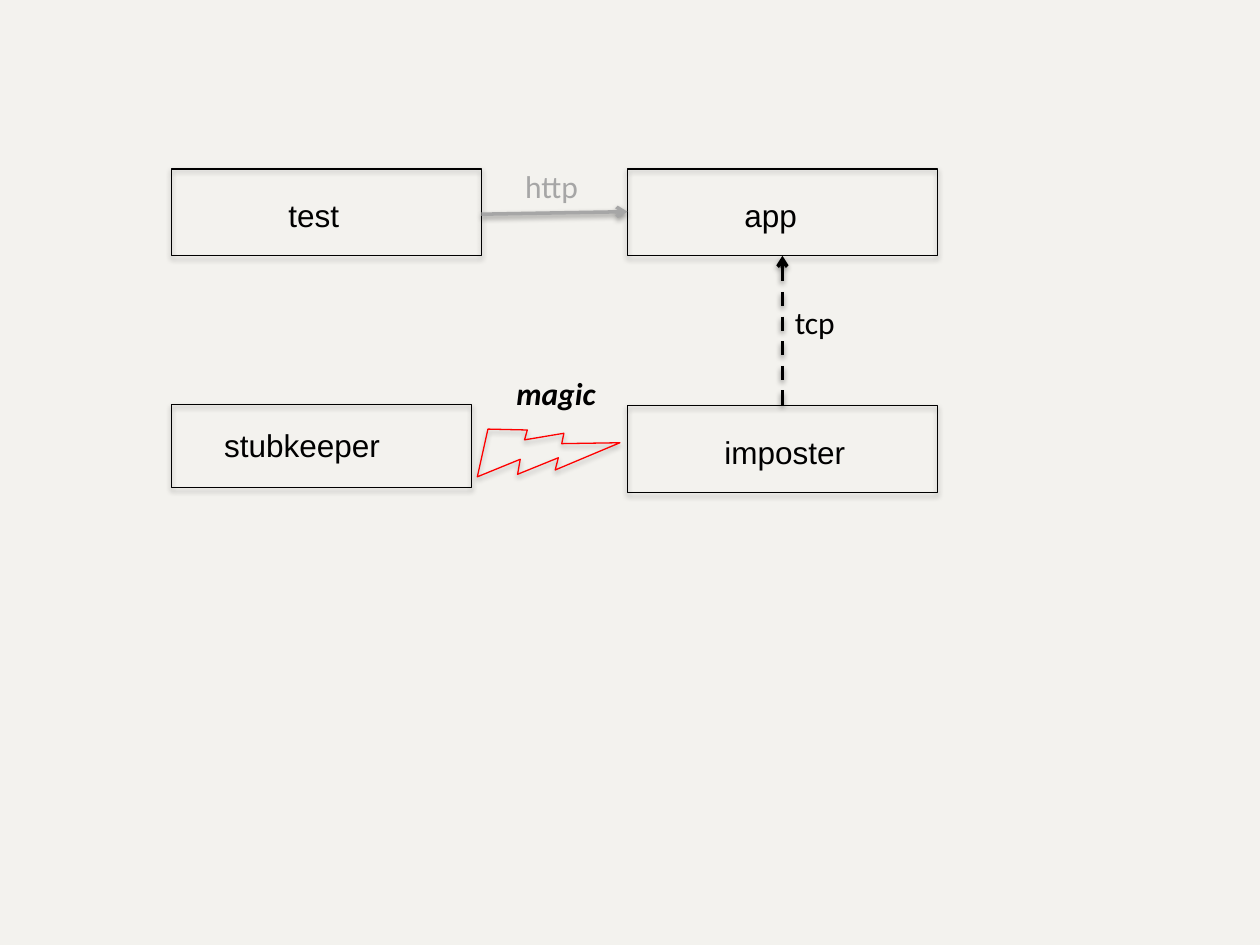
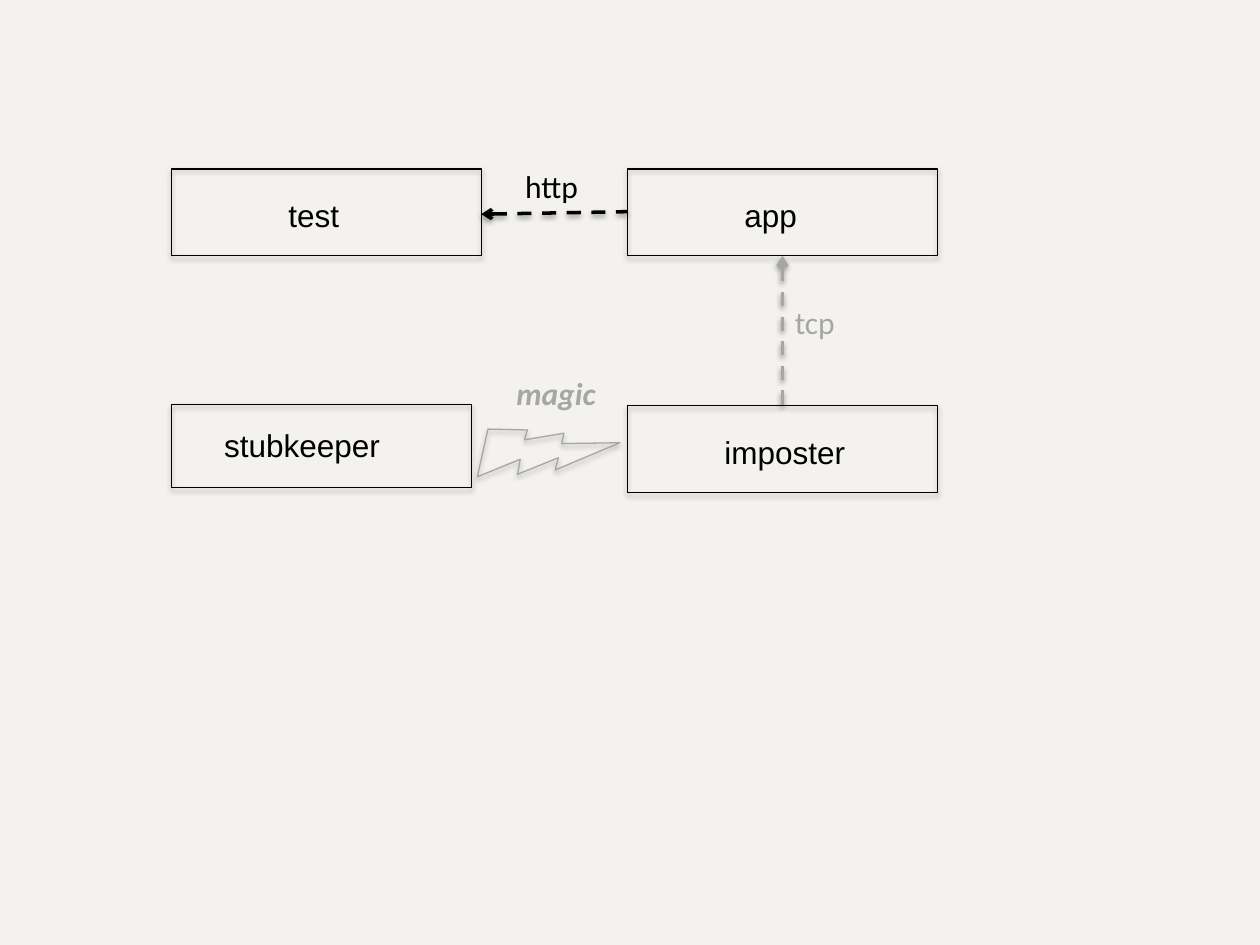
from lxml.etree import SubElement
from pptx import Presentation
from pptx.dml.color import RGBColor
from pptx.enum.dml import MSO_LINE
from pptx.enum.shapes import MSO_CONNECTOR, MSO_SHAPE
from pptx.enum.text import MSO_AUTO_SIZE as AutoSize
from pptx.oxml.ns import qn
from pptx.util import Inches, Pt

# Shared look
PAPER = "F3F2EE"
BLACK = "000000"
GREY = "A6A6A6"
RED = "FF0000"
BOX_FONT = "Arial"
LABEL_FONT = "Calibri"

# Nodes: name, box (left, top, width, height), text (left, top, width, height)
NODES = [
    ("test", (1.36, 1.34, 2.46, 0.69), (2.19, 1.51, 1.82, 0.32)),
    ("stubkeeper", (1.36, 3.21, 2.38, 0.66), (1.68, 3.33, 1.75, 0.71)),
    ("app", (4.98, 1.34, 2.46, 0.69), (5.81, 1.51, 1.82, 0.4)),
    ("imposter", (4.98, 3.22, 2.46, 0.69), (5.65, 3.39, 1.82, 0.4)),
]


def color(value):
    return RGBColor.from_string(value)


def inches(values):
    return [Inches(value) for value in values]


def add_shadow(shape, opacity, distance):
    """Give the shape a soft shadow that falls straight down."""
    properties = shape._element.spPr
    effects = SubElement(properties, qn("a:effectLst"))
    shadow = SubElement(effects, qn("a:outerShdw"), blurRad=str(Pt(3.1)),
                        dist=str(Pt(distance)), dir="5400000", rotWithShape="0")
    tint = SubElement(shadow, qn("a:srgbClr"), val=BLACK)
    SubElement(tint, qn("a:alpha"), val=str(opacity * 1000))


def add_outline(shapes, kind, place, line_color):
    """Add an unfilled preset shape with a thin line."""
    shape = shapes.add_shape(kind, *inches(place))
    shape.fill.background()
    shape.line.color.rgb = color(line_color)
    shape.line.width = Pt(0.75)
    add_shadow(shape, 35, 1.8)
    return shape


def add_text(shapes, text, place, font_name, font_color=BLACK, wrap=True, strong=False):
    box = shapes.add_textbox(*inches(place))
    frame = box.text_frame
    frame.word_wrap = wrap
    frame.auto_size = AutoSize.SHAPE_TO_FIT_TEXT
    para = frame.paragraphs[0]
    para.text = text
    para.font.name = font_name
    para.font.size = Pt(18)
    para.font.color.rgb = color(font_color)
    if strong:
        para.font.bold = para.font.italic = True


def add_node(page, name, box_place, text_place):
    """Group a box with its name."""
    group = page.shapes.add_group_shape()
    add_outline(group.shapes, MSO_SHAPE.RECTANGLE, box_place, BLACK)
    add_text(group.shapes, name, text_place, BOX_FONT)


def add_arrow(page, start, end, line_color, reply):
    """A request is solid and points to its end; a reply is dashed and points back."""
    arrow = page.shapes.add_connector(MSO_CONNECTOR.STRAIGHT, *inches(start + end))
    arrow.line.color.rgb = color(line_color)
    arrow.line.width = Pt(2)
    if reply:
        arrow.line.dash_style = MSO_LINE.DASH
    tip = "a:headEnd" if reply else "a:tailEnd"
    SubElement(arrow.line._get_or_add_ln(), qn(tip), type="arrow")
    add_shadow(arrow, 38, 1.6)


def add_label(page, text, place, font_color, strong=False):
    add_text(page.shapes, text, place, LABEL_FONT, font_color, wrap=False, strong=strong)


def add_step(deck, bolt_color, magic_color, http_color, http_reply, tcp_color):
    """Add a page with the whole diagram, its active parts in strong colours."""
    page = deck.slides.add_slide(deck.slide_layouts[6])
    page.background.fill.solid()
    page.background.fill.fore_color.rgb = color(PAPER)

    for node in NODES:
        add_node(page, *node)

    # Magic between the stub tool and the imposter
    bolt = add_outline(page.shapes, MSO_SHAPE.LIGHTNING_BOLT, (3.84, 3.15, 0.9, 0.9), bolt_color)
    bolt.rotation = 307.2
    add_label(page, "magic", (4, 2.92, 0.9, 0.4), magic_color, strong=True)

    # Traffic between test, app and imposter
    add_arrow(page, (3.82, 1.7), (4.98, 1.68), http_color, http_reply)
    add_label(page, "http", (4.07, 1.28, 0.63, 0.4), http_color)
    add_arrow(page, (6.21, 2.03), (6.21, 3.22), tcp_color, reply=True)
    add_label(page, "tcp", (6.21, 2.36, 0.53, 0.4), tcp_color)


def main():
    deck = Presentation()
    deck.slide_width, deck.slide_height = Inches(10), Inches(7.5)
    # The imposter answers the app
    add_step(deck, bolt_color=RED, magic_color=BLACK,
             http_color=GREY, http_reply=False, tcp_color=BLACK)
    # The app answers the test
    add_step(deck, bolt_color=GREY, magic_color=GREY,
             http_color=BLACK, http_reply=True, tcp_color=GREY)
    deck.save("out.pptx")


main()
